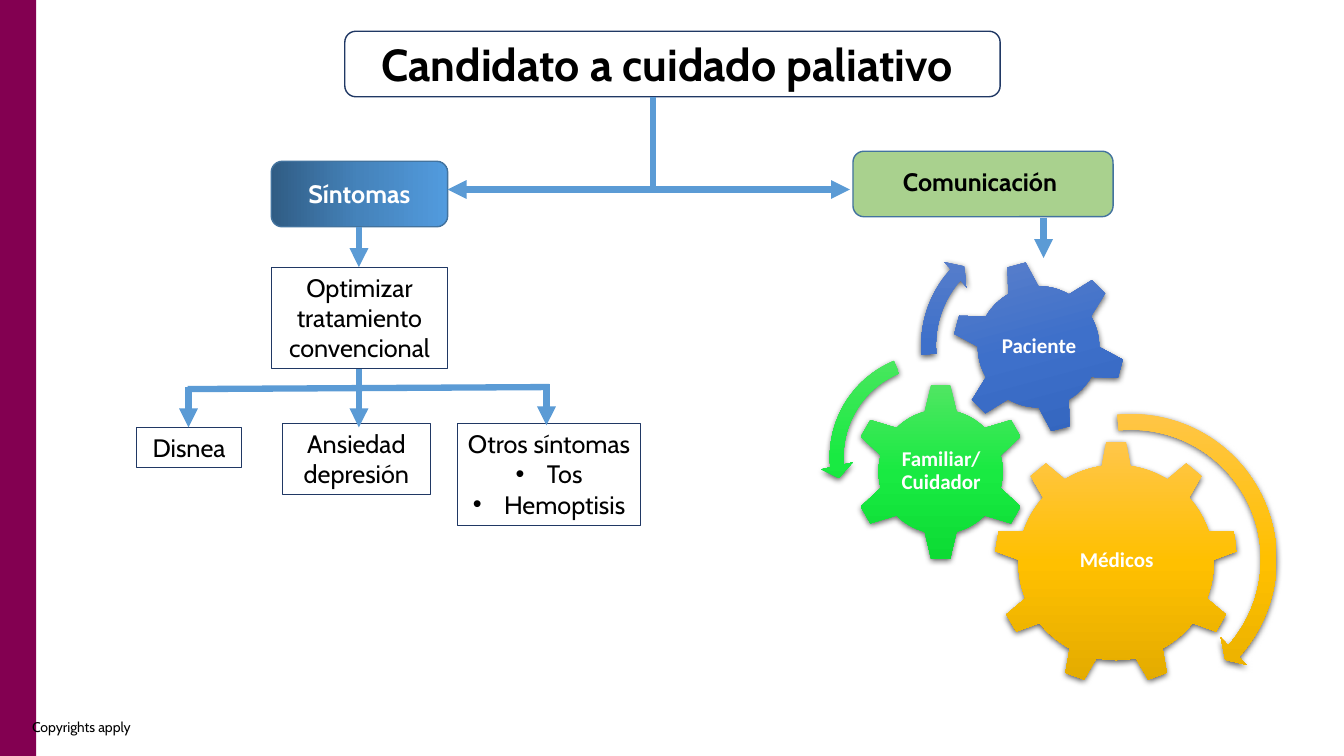
import pptx
import pptx.util
import pptx.dml.color
import pptx.enum.shapes
import pptx.enum.text
import pptx.oxml
import pptx.oxml.ns
from lxml import etree

Inches = pptx.util.Inches
Pt = pptx.util.Pt
RGBColor = pptx.dml.color.RGBColor
SHAPE = pptx.enum.shapes.MSO_SHAPE
ALIGN = pptx.enum.text.PP_ALIGN
ANCHOR = pptx.enum.text.MSO_ANCHOR
qn = pptx.oxml.ns.qn

BLACK = RGBColor(0x00, 0x00, 0x00)
WHITE = RGBColor(0xFF, 0xFF, 0xFF)
PLUM = RGBColor(0x83, 0x00, 0x51)
NAVY = RGBColor(0x20, 0x38, 0x64)
STEEL = RGBColor(0x43, 0x73, 0x9E)
LEAF = RGBColor(0xA9, 0xD1, 0x8E)
SKY = RGBColor(0x5B, 0x9B, 0xD5)
STEEL_FADE = [RGBColor(0x30, 0x5C, 0x84), RGBColor(0x45, 0x83, 0xBB), RGBColor(0x52, 0x9B, 0xDE)]
GOLD_FADE = [RGBColor(0xFF, 0xC6, 0x4B), RGBColor(0xFF, 0xC0, 0x00), RGBColor(0xE3, 0xAB, 0x00)]
GREEN_FADE = [RGBColor(0x51, 0xE6, 0x63), RGBColor(0x19, 0xEA, 0x42), RGBColor(0x0C, 0xDB, 0x34)]
BLUE_FADE = [RGBColor(0x61, 0x83, 0xCB), RGBColor(0x3E, 0x70, 0xCA), RGBColor(0x30, 0x62, 0xBB)]


def add_run(p, text, size, color=BLACK, bold=False, font="Cabin"):
    r = p.add_run()
    r.text = text
    r.font.size = Pt(size)
    r.font.name = font
    r.font.bold = bold
    r.font.color.rgb = color


def add_box(s, kind, at, fill=None, line=None, width=1):
    sp = s.shapes.add_shape(kind, *map(Inches, at))
    sp.shadow.inherit = False
    if fill is None:
        sp.fill.background()
    else:
        sp.fill.solid()
        sp.fill.fore_color.rgb = fill
    if line is None:
        sp.line.fill.background()
    else:
        sp.line.color.rgb = line
        sp.line.width = Pt(width)
    return sp


def add_fade(sp, colors, angle):
    sp.fill.gradient()
    grad = sp.element.spPr.find(qn("a:gradFill"))
    for child in list(grad):
        grad.remove(child)
    stops = etree.SubElement(grad, qn("a:gsLst"))
    for i, color in enumerate(colors):
        stop = etree.SubElement(stops, qn("a:gs"), pos=str(i * 50000))
        etree.SubElement(stop, qn("a:srgbClr"), val=str(color))
    etree.SubElement(grad, qn("a:lin"), ang=str(angle * 60000), scaled="0")


def add_shadow(sp):
    effects = sp.element.spPr.find(qn("a:effectLst"))
    shadow = etree.SubElement(effects, qn("a:outerShdw"), blurRad=str(Pt(4.5)),
                              dist=str(Pt(1.5)), dir="5400000", algn="ctr", rotWithShape="0")
    color = etree.SubElement(shadow, qn("a:srgbClr"), val=str(BLACK))
    etree.SubElement(color, qn("a:alpha"), val="63000")


def add_label(s, at, text, size, color=BLACK, bold=False, wrap=True, align=ALIGN.CENTER):
    tf = s.shapes.add_textbox(*map(Inches, at)).text_frame
    tf.word_wrap = wrap
    p = tf.paragraphs[0]
    p.alignment = align
    add_run(p, text, size, color, bold)


def add_symptom_box(s, at, text, bullets=()):
    tf = add_box(s, SHAPE.RECTANGLE, at, line=NAVY, width=0.75).text_frame
    tf.word_wrap = True
    tf.vertical_anchor = ANCHOR.TOP
    p = tf.paragraphs[0]
    p.alignment = ALIGN.CENTER
    add_run(p, text, 18)
    for bullet in bullets:
        p = tf.add_paragraph()
        p.alignment = ALIGN.CENTER
        pPr = p._p.get_or_add_pPr()
        pPr.set("marL", str(Inches(0.31)))
        pPr.set("indent", str(-Inches(0.31)))
        etree.SubElement(pPr, qn("a:buFont"), typeface="Arial")
        etree.SubElement(pPr, qn("a:buChar"), char="•")
        add_run(p, bullet, 18)


def add_gear_part(s, kind, left, top, size, colors, rotation=0, adjustments=()):
    sp = add_box(s, kind, (left, top, size, size))
    add_fade(sp, colors, 90)
    add_shadow(sp)
    sp.rotation = rotation
    for i, value in enumerate(adjustments):
        sp.adjustments[i] = value


def add_gear_label(s, at, text):
    tf = s.shapes.add_textbox(*map(Inches, at)).text_frame
    tf.word_wrap = True
    tf.vertical_anchor = ANCHOR.MIDDLE
    tf.margin_left = tf.margin_right = tf.margin_top = tf.margin_bottom = Inches(0.02)
    p = tf.paragraphs[0]
    p.alignment = ALIGN.CENTER
    p.line_spacing = 0.9
    add_run(p, text, 15, WHITE, True, "Calibri")


def add_line(s, x1, y1, x2, y2, arrow=True):
    line = s.shapes.add_connector(pptx.enum.shapes.MSO_CONNECTOR.STRAIGHT,
                                  *map(Inches, (x1, y1, x2, y2)))
    line.line.color.rgb = SKY
    line.line.width = Pt(4.5)
    if arrow:
        etree.SubElement(line.line._get_or_add_ln(), qn("a:tailEnd"), type="triangle")
    etree.SubElement(line.element.spPr, qn("a:effectLst"))


def add_title(s, text):
    add_box(s, SHAPE.ROUNDED_RECTANGLE, (3.42, 0.31, 6.5, 0.65), WHITE, NAVY)
    title = s.shapes.title
    title.element.getparent().append(title.element)
    title.left, title.top, title.width, title.height = map(Inches, (3.68, 0.31, 6.24, 0.64))
    tf = title.text_frame
    tf.word_wrap = True
    tf.auto_size = pptx.enum.text.MSO_AUTO_SIZE.NONE
    tf.vertical_anchor = ANCHOR.TOP
    p = tf.paragraphs[0]
    p.alignment = ALIGN.LEFT
    add_run(p, text, 32, bold=True)


def main():
    prs = pptx.Presentation()
    prs.slide_width, prs.slide_height = Inches(13.33), Inches(7.5)
    s = prs.slides.add_slide(prs.slide_layouts[5])

    add_box(s, SHAPE.RECTANGLE, (0, 0, 0.36, 7.5), PLUM)
    add_label(s, (0.22, 7.08, 1.19, 0.27), "Copyrights apply", 10, wrap=False, align=ALIGN.LEFT)
    add_title(s, "Candidato a cuidado paliativo")

    add_box(s, SHAPE.ROUNDED_RECTANGLE, (8.46, 1.5, 2.58, 0.65), LEAF, STEEL)
    symptoms = add_box(s, SHAPE.ROUNDED_RECTANGLE, (2.69, 1.6, 1.75, 0.65), line=STEEL)
    add_fade(symptoms, STEEL_FADE, 0)
    add_label(s, (2.88, 1.72, 1.37, 0.4), "Síntomas", 18, WHITE, True)
    add_label(s, (8.61, 1.6, 2.22, 0.4), "Comunicación", 18, BLACK, True)

    add_symptom_box(s, (2.69, 2.65, 1.75, 1.01), "Optimizar tratamiento convencional")
    add_symptom_box(s, (1.35, 4.24, 1.05, 0.4), "Disnea")
    add_symptom_box(s, (2.8, 4.2, 1.47, 0.71), "Ansiedad depresión")
    add_symptom_box(s, (4.54, 4.2, 1.81, 1.01), "Otros síntomas", ("Tos", "Hemoptisis"))

    add_gear_part(s, SHAPE.GEAR_9, 9.86, 4.37, 2.42, GOLD_FADE)
    add_gear_label(s, (10.35, 4.94, 1.45, 1.24), "Médicos")
    add_gear_part(s, SHAPE.GEAR_6, 8.45, 3.8, 1.76, GREEN_FADE)
    add_gear_label(s, (8.9, 4.24, 0.87, 0.87), "Familiar/ Cuidador")
    add_gear_part(s, SHAPE.GEAR_6, 9.44, 2.58, 1.72, BLUE_FADE, rotation=345)
    add_gear_label(s, (9.82, 2.96, 0.97, 0.97), "Paciente")
    add_gear_part(s, SHAPE.CIRCULAR_ARROW, 9.67, 4, 3.1, GOLD_FADE,
                  adjustments=(0.05, 2.99, 25.12, 158.7, 0.06))
    add_gear_part(s, SHAPE.LEFT_CIRCULAR_ARROW, 8.14, 3.41, 2.25, GREEN_FADE,
                  adjustments=(0.06, 4.3, 104.89, 148.38, 0.07))
    add_gear_part(s, SHAPE.CIRCULAR_ARROW, 9.04, 2.21, 2.43, BLUE_FADE,
                  adjustments=(0.06, 3.94, 133.14, 105.08, 0.07))

    add_line(s, 6.48, 0.96, 6.48, 1.88, arrow=False)
    for end in (4.44, 8.43):
        add_line(s, 6.48, 1.88, end, 1.88)
    for x, top, bottom in ((3.56, 2.25, 2.65), (10.35, 2.16, 2.56), (1.87, 3.84, 4.24),
                           (3.56, 3.66, 4.24), (5.42, 3.81, 4.22)):
        add_line(s, x, top, x, bottom)
    add_line(s, 1.86, 3.86, 5.45, 3.84, arrow=False)

    prs.save("out.pptx")


if __name__ == "__main__":
    main()
